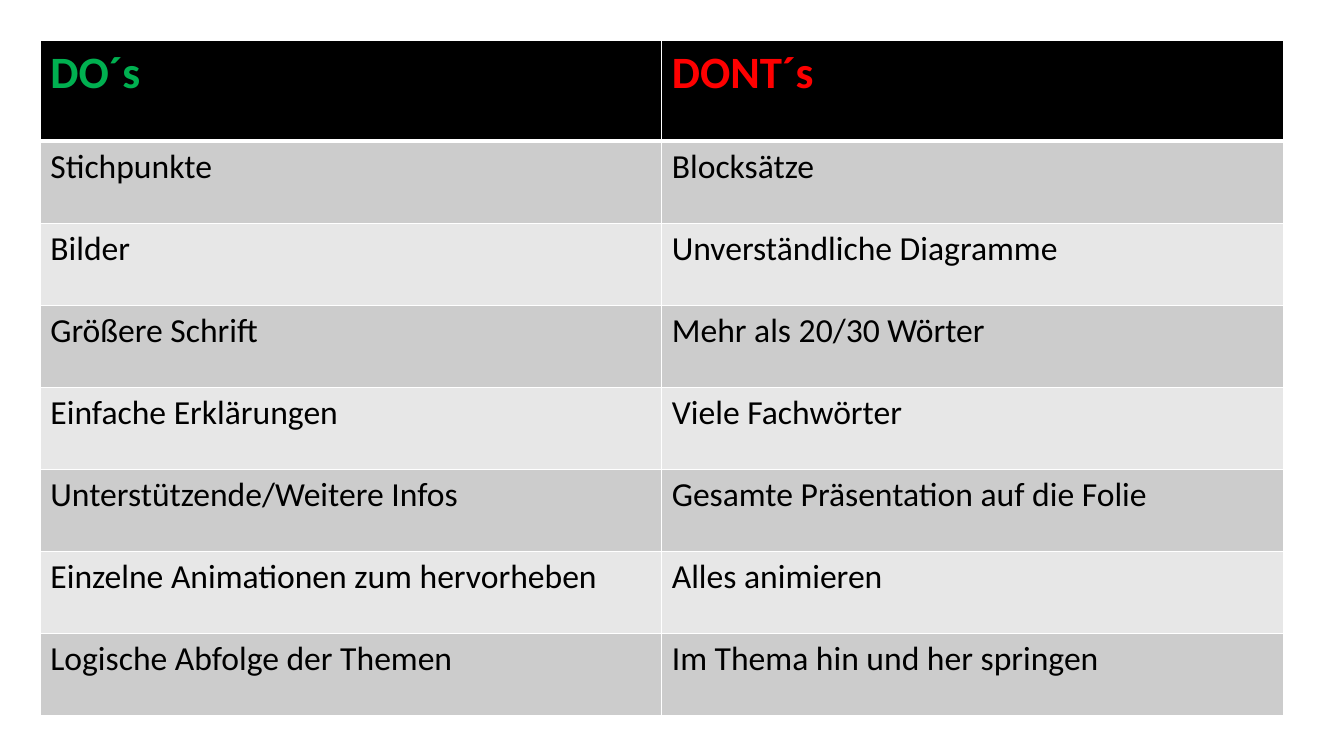
from typing import NamedTuple

from lxml import etree
from pptx import Presentation
from pptx.dml.color import RGBColor
from pptx.oxml.ns import qn
from pptx.table import _Cell
from pptx.util import Inches, Pt

BLACK = RGBColor(0x00, 0x00, 0x00)
WHITE = RGBColor(0xFF, 0xFF, 0xFF)
GREEN = RGBColor(0x00, 0xB0, 0x50)
RED = RGBColor(0xFF, 0x00, 0x00)
DARK_BAND = RGBColor(0xCC, 0xCC, 0xCC)
LIGHT_BAND = RGBColor(0xE7, 0xE7, 0xE7)

FONT = "Calibri"
BLANK_LAYOUT = 6
MARGIN = Inches(0.4)
COLUMN_WIDTH = Inches(6.165)
HEADER_HEIGHT = Inches(1)
ADVICE_HEIGHT = Inches(0.814)
THIN, THICK = Pt(1), Pt(3)


class Advice(NamedTuple):
    do: str
    dont: str


class CellStyle(NamedTuple):
    fill: RGBColor
    color: RGBColor
    size: int
    bold: bool
    top: int
    bottom: int


HEADINGS = Advice("DO´s", "DONT´s")
ADVICE = [
    Advice("Stichpunkte", "Blocksätze"),
    Advice("Bilder", "Unverständliche Diagramme"),
    Advice("Größere Schrift", "Mehr als 20/30 Wörter"),
    Advice("Einfache Erklärungen", "Viele Fachwörter"),
    Advice("Unterstützende/Weitere Infos", "Gesamte Präsentation auf die Folie"),
    Advice("Einzelne Animationen zum hervorheben", "Alles animieren"),
    Advice("Logische Abfolge der Themen", "Im Thema hin und her springen"),
]


def set_borders(cell: _Cell, top: int, bottom: int) -> None:
    """Draw white cell borders; they must come before the fill in tcPr."""
    properties = cell._tc.get_or_add_tcPr()
    widths = {"a:lnL": THIN, "a:lnR": THIN, "a:lnT": top, "a:lnB": bottom}
    for position, (side, width) in enumerate(widths.items()):
        border = etree.Element(qn(side), w=str(int(width)))
        solid = etree.SubElement(border, qn("a:solidFill"))
        etree.SubElement(solid, qn("a:srgbClr"), val=str(WHITE))
        properties.insert(position, border)


def write_cell(cell: _Cell, text: str, style: CellStyle) -> None:
    cell.text = text
    font = cell.text_frame.paragraphs[0].font
    font.name = FONT
    font.size = Pt(style.size)
    font.bold = style.bold
    font.color.rgb = style.color
    cell.fill.solid()
    cell.fill.fore_color.rgb = style.fill
    set_borders(cell, style.top, style.bottom)


def main() -> None:
    prs = Presentation()
    prs.slide_width, prs.slide_height = Inches(13.333), Inches(7.5)
    slide = prs.slides.add_slide(prs.slide_layouts[BLANK_LAYOUT])

    # Table grid
    advice_table = slide.shapes.add_table(
        len(ADVICE) + 1, len(HEADINGS), MARGIN, MARGIN,
        COLUMN_WIDTH * len(HEADINGS),
        HEADER_HEIGHT + ADVICE_HEIGHT * len(ADVICE),
    ).table
    for column in advice_table.columns:
        column.width = COLUMN_WIDTH
    for index, row in enumerate(advice_table.rows):
        row.height = ADVICE_HEIGHT if index else HEADER_HEIGHT

    # Header row
    for column, (heading, color) in enumerate(zip(HEADINGS, (GREEN, RED))):
        style = CellStyle(BLACK, color, 32, True, THIN, THICK)
        write_cell(advice_table.cell(0, column), heading, style)

    # Banded advice rows
    for row, advice in enumerate(ADVICE, start=1):
        band = DARK_BAND if row % 2 else LIGHT_BAND
        style = CellStyle(band, BLACK, 24, False, THICK if row == 1 else THIN, THIN)
        for column, text in enumerate(advice):
            write_cell(advice_table.cell(row, column), text, style)

    prs.save("out.pptx")


if __name__ == "__main__":
    main()
